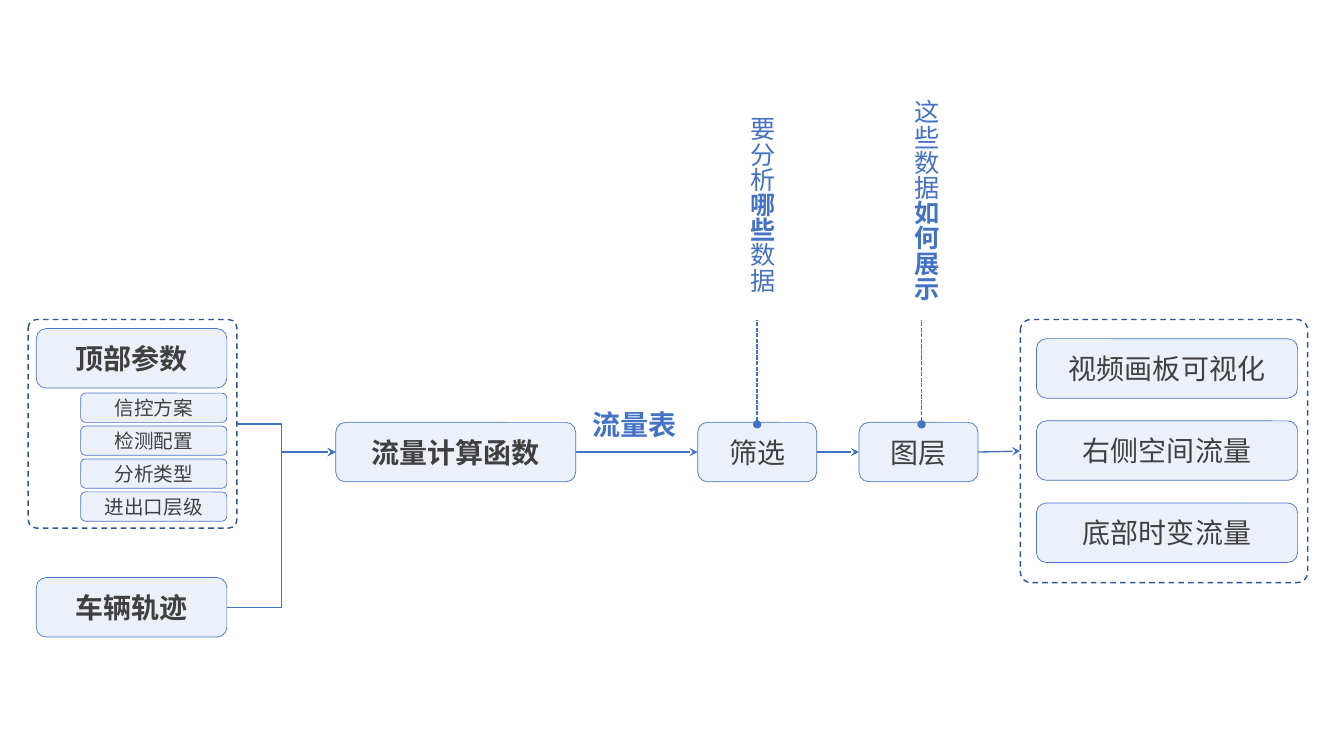
"""Build a slide showing how traffic flow data moves from inputs to views."""
from lxml import etree
from pptx import Presentation
from pptx.dml.color import RGBColor
from pptx.enum.dml import MSO_LINE
from pptx.enum.shapes import MSO_CONNECTOR, MSO_SHAPE
from pptx.enum.text import MSO_ANCHOR, PP_ALIGN
from pptx.oxml.ns import qn
from pptx.util import Inches, Pt

ROUNDED = MSO_SHAPE.ROUNDED_RECTANGLE
STRAIGHT, ELBOW = MSO_CONNECTOR.STRAIGHT, MSO_CONNECTOR.ELBOW
DASH, FINE_DASH = MSO_LINE.DASH, MSO_LINE.SQUARE_DOT
MIDDLE, CENTER = MSO_ANCHOR.MIDDLE, PP_ALIGN.CENTER
LEFT_SITE, RIGHT_SITE = 1, 3
FONT = "Noto Sans CJK SC"
BOX_BLUE, LINE_BLUE, FRAME_BLUE, DARK = "4874CB", "4472C4", "2F5597", "404040"


def write_text(shape, runs, size, color):
    """Write centred runs, each a pair of text and boldness."""
    paragraph = shape.text_frame.paragraphs[0]
    paragraph.alignment = CENTER
    for text, bold in runs:
        run = paragraph.add_run()
        run.text = text
        for name, value in {"name": FONT, "size": Pt(size), "bold": bold}.items():
            setattr(run.font, name, value)
        run.font.color.rgb = RGBColor.from_string(color)
        east_asian = etree.SubElement(run.font._element, qn("a:ea"))
        east_asian.set("typeface", FONT)


def style_line(shape, color, width, dash=None, end=None, end_type=None):
    """Format an outline or connector, with an optional end mark."""
    shape.line.color.rgb = RGBColor.from_string(color)
    shape.line.width = Pt(width)
    if dash:
        shape.line.dash_style = dash
    if end:
        etree.SubElement(shape.line._get_or_add_ln(), qn(end)).set("type", end_type)


presentation = Presentation()
presentation.slide_width, presentation.slide_height = Inches(13.33), Inches(7.5)
slide = presentation.slides.add_slide(presentation.slide_layouts[6])
shapes = slide.shapes

boxes = [
    ("顶部参数", 0.36, 3.26, 1.89, 0.59, 20, True),
    ("流量计算函数", 3.33, 4.19, 2.38, 0.59, 20, True),
    ("车辆轨迹", 0.36, 5.73, 1.89, 0.59, 20, True),
    ("筛选", 6.92, 4.19, 1.18, 0.59, 20, False),
    ("图层", 8.52, 4.19, 1.18, 0.59, 20, False),
]
for row, view in enumerate(["视频画板可视化", "右侧空间流量", "底部时变流量"]):
    boxes.append((view, 10.28, 3.36 + 1.63 / 2 * row, 2.59, 0.59, 20, False))
for row, parameter in enumerate(["信控方案", "检测配置", "分析类型", "进出口层级"]):
    boxes.append((parameter, 0.8, 3.9 + 0.98 / 3 * row, 1.45, 0.29, 14, False))

nodes = {}
for text, left, top, width, height, size, bold in boxes:
    box = shapes.add_shape(ROUNDED, Inches(left), Inches(top), Inches(width), Inches(height))
    box.shadow.inherit = False
    box.fill.solid()
    box.fill.fore_color.rgb = RGBColor.from_string(BOX_BLUE)
    fill_color = box._element.spPr.find(qn("a:solidFill"))[0]
    etree.SubElement(fill_color, qn("a:alpha")).set("val", "10000")
    style_line(box, BOX_BLUE, 0.5)
    box.text_frame.vertical_anchor = MIDDLE
    write_text(box, [(text, bold)], size, DARK)
    nodes[text] = box

frames = [("parameters", 0.28, 2.07, 2.07), ("views", 10.12, 2.85, 2.61)]
for key, left, width, height in frames:
    frame = shapes.add_shape(ROUNDED, Inches(left), Inches(3.17), Inches(width), Inches(height))
    frame.adjustments[0] = 0.04
    frame.shadow.inherit = False
    frame.fill.background()
    style_line(frame, FRAME_BLUE, 1, DASH)
    nodes[key] = frame

connectors = []
flows = [
    ("车辆轨迹", "流量计算函数", ELBOW, 0.5),
    ("parameters", "流量计算函数", ELBOW, 0.45),
    ("流量计算函数", "筛选", STRAIGHT, None),
    ("筛选", "图层", STRAIGHT, None),
    ("图层", "views", STRAIGHT, None),
]
for source, target, kind, bend in flows:
    connector = shapes.add_connector(kind, 0, 0, 0, 0)
    connector.begin_connect(nodes[source], RIGHT_SITE)
    connector.end_connect(nodes[target], LEFT_SITE)
    style_line(connector, LINE_BLUE, 1, end="a:tailEnd", end_type="stealth")
    if bend:
        geometry = connector._element.spPr.find(qn("a:prstGeom"))
        guide = etree.SubElement(geometry.find(qn("a:avLst")), qn("a:gd"))
        guide.set("name", "adj1")
        guide.set("fmla", f"val {round(bend * 100000)}")
    connectors.append(connector)

questions = [
    (7.51, 1.06, [("要分析", False), ("哪些", True), ("数据", False)]),
    (9.14, 0.89, [("这些数据", False), ("如何展示", True)]),
]
for center, top, runs in questions:
    leader = shapes.add_connector(
        STRAIGHT, Inches(center), Inches(4.21), Inches(center), Inches(3.17))
    style_line(leader, LINE_BLUE, 1, FINE_DASH, "a:headEnd", "oval")
    connectors.append(leader)
    question = shapes.add_textbox(
        Inches(center - 0.25), Inches(top), Inches(0.5), Inches(3.17 - top))
    question.text_frame.word_wrap = True
    question.text_frame._txBody.bodyPr.set("vert", "eaVert")
    write_text(question, runs, 18, LINE_BLUE)

for connector in connectors:
    etree.SubElement(connector._element.spPr, qn("a:effectLst"))

flow_table = shapes.add_textbox(Inches(5.67), Inches(3.99), Inches(1.24), Inches(0.44))
flow_table.text_frame.word_wrap = True
write_text(flow_table, [("流量表", True)], 20, LINE_BLUE)

presentation.save("out.pptx")
